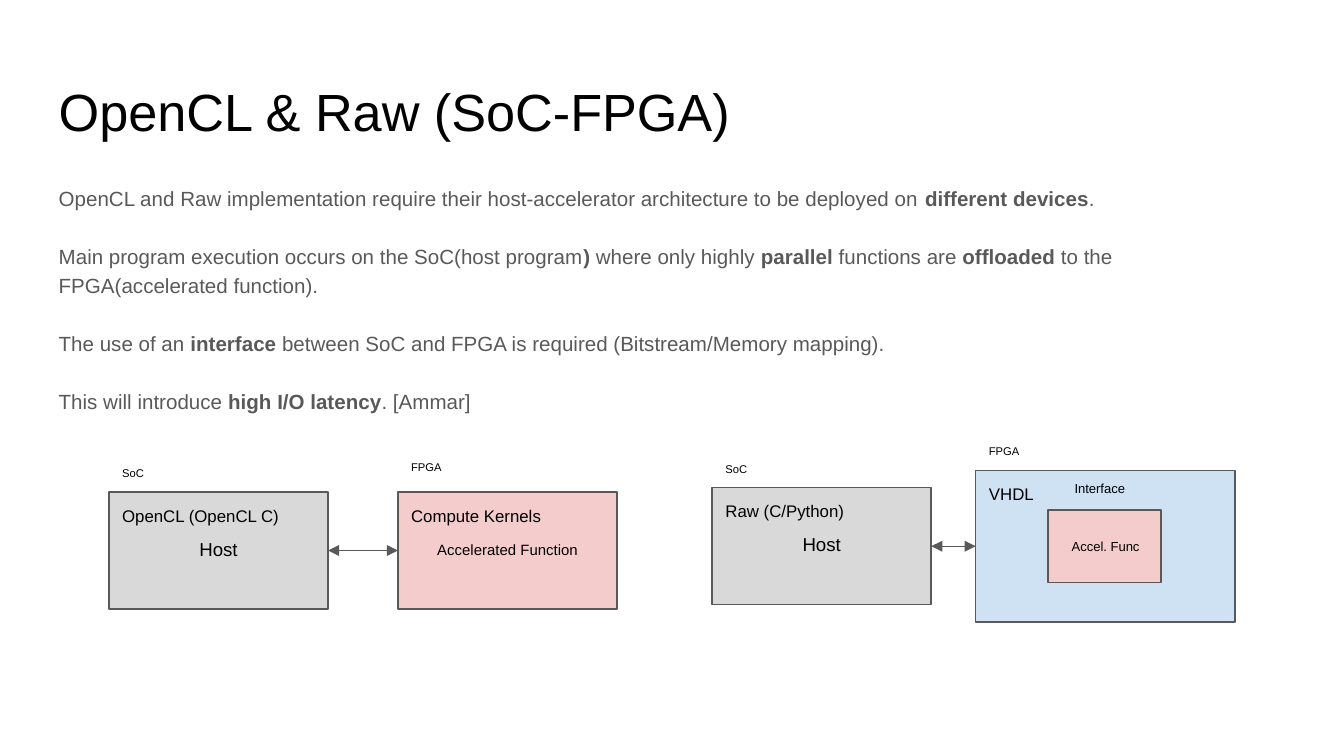
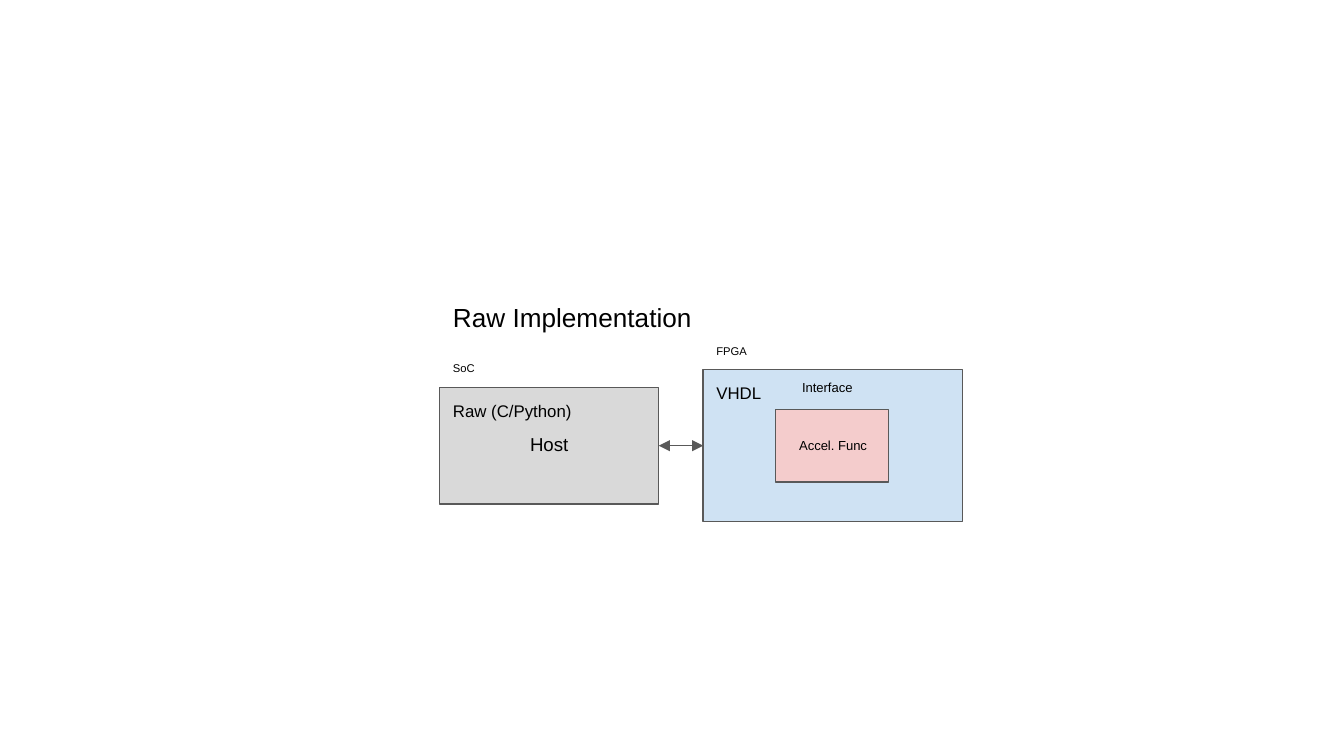
from pptx import Presentation
from pptx.dml.color import RGBColor
from pptx.enum.shapes import MSO_CONNECTOR, MSO_SHAPE
from pptx.enum.text import MSO_ANCHOR, MSO_AUTO_SIZE, PP_ALIGN
from pptx.oxml.ns import qn
from pptx.util import Cm, Pt
from lxml.etree import SubElement

FONT = "Arial"
BLACK = RGBColor(0x00, 0x00, 0x00)
GRAY = RGBColor(0x59, 0x59, 0x59)
HOST_FILL = RGBColor(0xD9, 0xD9, 0xD9)
ACCELERATOR_FILL = RGBColor(0xF4, 0xCC, 0xCC)
INTERFACE_FILL = RGBColor(0xCF, 0xE2, 0xF3)

TITLE_ONLY = 5
INSET = Cm(0.25)
DEVICE_WIDTH, DEVICE_HEIGHT = 4.14, 2.21

# Bold passages stand between double asterisks.
BODY = [
    "OpenCL and Raw implementation require their host-accelerator architecture "
    "to be deployed on **different devices**.",
    "Main program execution occurs on the SoC(host program**)** where only highly "
    "**parallel **functions are **offloaded **to the FPGA(accelerated function).",
    "The use of an **interface** between SoC and FPGA is required "
    "(Bitstream/Memory mapping).",
    "This will introduce **high I/O latency**. [Ammar]",
]


def prepare_frame(shape):
    """Give a text shape the shared insets, wrapping and top anchor."""
    frame = shape.text_frame
    frame.word_wrap = True
    frame.auto_size = MSO_AUTO_SIZE.NONE
    frame.vertical_anchor = MSO_ANCHOR.TOP
    frame.margin_left = frame.margin_right = INSET
    frame.margin_top = frame.margin_bottom = INSET
    return frame


def format_paragraph(paragraph, size, color=BLACK, alignment=PP_ALIGN.LEFT):
    paragraph.alignment = alignment
    paragraph.font.name = FONT
    paragraph.font.size = Pt(size)
    paragraph.font.color.rgb = color


def add_titled_slide(presentation, text, left, top, width, height, size):
    slide = presentation.slides.add_slide(presentation.slide_layouts[TITLE_ONLY])
    title = slide.shapes.title
    title.left, title.top = Cm(left), Cm(top)
    title.width, title.height = Cm(width), Cm(height)
    frame = prepare_frame(title)
    frame.text = text
    format_paragraph(frame.paragraphs[0], size)
    return slide


def add_text_box(slide, left, top, width, height):
    return prepare_frame(
        slide.shapes.add_textbox(Cm(left), Cm(top), Cm(width), Cm(height)))


def add_label(slide, text, left, top, width, height, size, alignment=PP_ALIGN.LEFT):
    frame = add_text_box(slide, left, top, width, height)
    frame.text = text
    format_paragraph(frame.paragraphs[0], size, alignment=alignment)


def add_body(slide, texts):
    frame = add_text_box(slide, 0.86, 3.2, 23.67, 4.75)
    for index, text in enumerate(texts):
        paragraph = frame.add_paragraph() if index else frame.paragraphs[0]
        format_paragraph(paragraph, 11, GRAY)
        paragraph.line_spacing = 1.15
        paragraph.space_before = Pt(16 if index else 0)
        for part, passage in enumerate(text.split("**")):
            run = paragraph.add_run()
            run.text = passage
            run.font.bold = part % 2 == 1


def add_box(slide, left, top, width, height, fill):
    box = slide.shapes.add_shape(
        MSO_SHAPE.RECTANGLE, Cm(left), Cm(top), Cm(width), Cm(height))
    box.shadow.inherit = False
    box.fill.solid()
    box.fill.fore_color.rgb = fill
    box.line.color.rgb = GRAY
    box.line.width = Pt(0.75)
    return box


def add_device(slide, device, heading, left, top, fill,
               width=DEVICE_WIDTH, height=DEVICE_HEIGHT, label_gap=0.74):
    """Draw a box with its heading inside and the device name above it."""
    box = add_box(slide, left, top, width, height, fill)
    add_label(slide, heading, left, top, DEVICE_WIDTH, 0.89, 9)
    add_label(slide, device, left, top - label_gap, 1.32, 0.76, 6)
    return box


def add_host(slide, heading, left, top):
    box = add_device(slide, "SoC", heading, left, top, HOST_FILL)
    add_label(slide, "Host", left + 0.94, top + 0.61, 2.26, 0.94, 10, PP_ALIGN.CENTER)
    return box


def connect(slide, host, accelerator):
    """Join the right side of the host to the left side of the accelerator."""
    connector = slide.shapes.add_connector(MSO_CONNECTOR.STRAIGHT, 0, 0, 0, 0)
    connector.begin_connect(host, 3)
    connector.end_connect(accelerator, 1)
    connector.line.color.rgb = GRAY
    connector.line.width = Pt(0.75)
    line = connector.line._get_or_add_ln()
    for end in ("a:headEnd", "a:tailEnd"):
        SubElement(line, qn(end), type="triangle")
    SubElement(connector._element.spPr, qn("a:effectLst"))


def add_opencl_diagram(slide, left, top):
    host = add_host(slide, "OpenCL (OpenCL C)", left, top)
    kernels_left = left + 5.46
    kernels = add_device(slide, "FPGA", "Compute Kernels", kernels_left, top,
                         ACCELERATOR_FILL, label_gap=0.84)
    add_label(slide, "Accelerated Function", kernels_left + 0.41, top + 0.66,
              3.33, 0.86, 8, PP_ALIGN.CENTER)
    connect(slide, host, kernels)


def add_raw_diagram(slide, left, top):
    host = add_host(slide, "Raw (C/Python)", left, top)
    interface = add_device(slide, "FPGA", "VHDL", left + 4.98, top - 0.33,
                           INTERFACE_FILL, width=4.9, height=2.87)
    add_box(slide, left + 6.35, top + 0.42, 2.13, 1.37, ACCELERATOR_FILL)
    add_label(slide, "Interface", left + 5.66, top - 0.39, 3.33, 0.81, 7,
              PP_ALIGN.CENTER)
    add_label(slide, "Accel. Func", left + 5.77, top + 0.7, 3.33, 0.81, 7,
              PP_ALIGN.CENTER)
    connect(slide, host, interface)


def main():
    presentation = Presentation()
    presentation.slide_width, presentation.slide_height = Cm(25.4), Cm(14.29)

    slide = add_titled_slide(presentation, "OpenCL & Raw (SoC-FPGA)",
                             0.86, 1.24, 23.67, 1.6, 28)
    add_body(slide, BODY)
    add_opencl_diagram(slide, 2.06, 9.3)
    add_raw_diagram(slide, 13.46, 9.22)

    slide = add_titled_slide(presentation, "Raw Implementation",
                             8.31, 5.44, 11.84, 1.12, 14)
    add_raw_diagram(slide, 8.31, 7.32)

    presentation.save("out.pptx")


if __name__ == "__main__":
    main()
